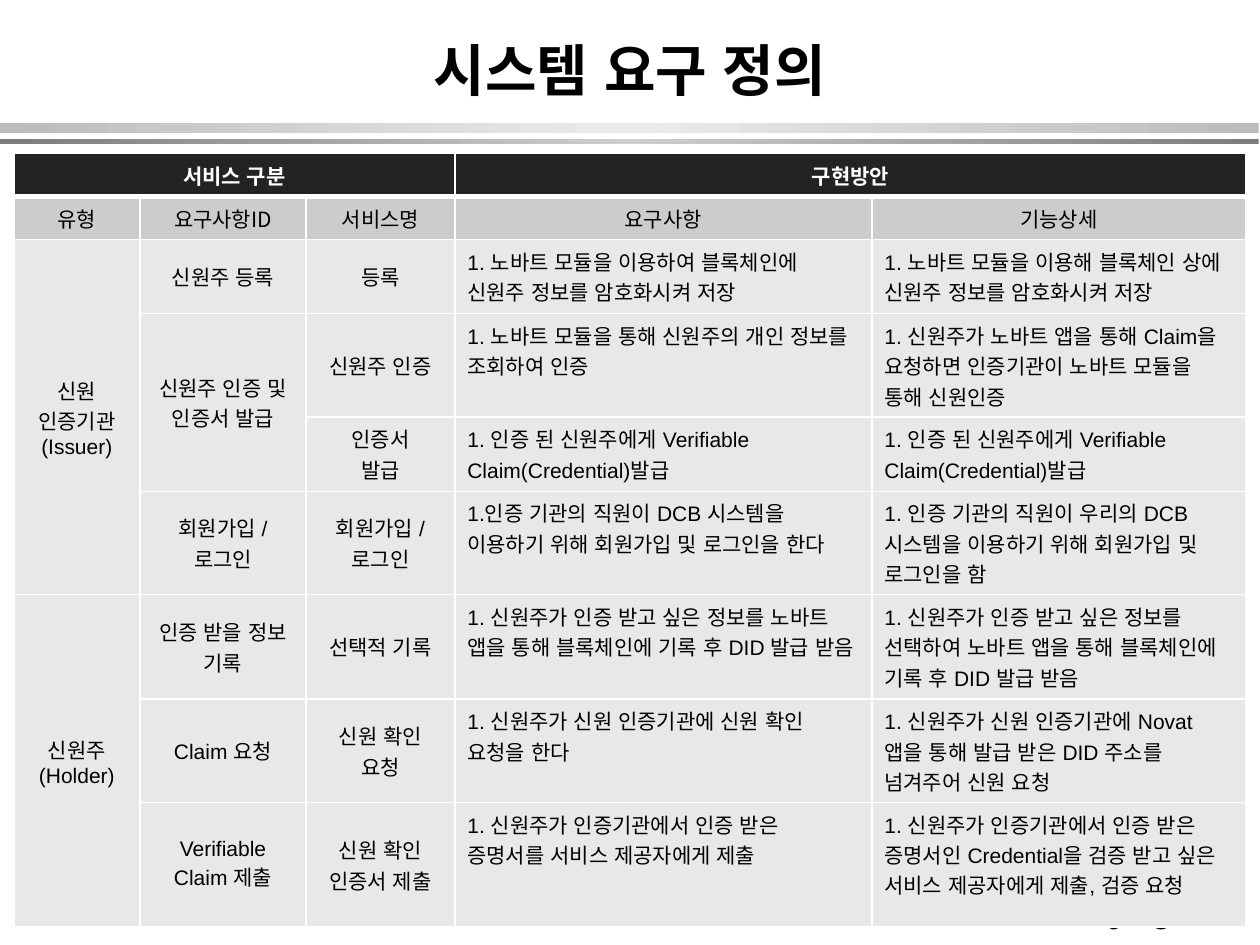
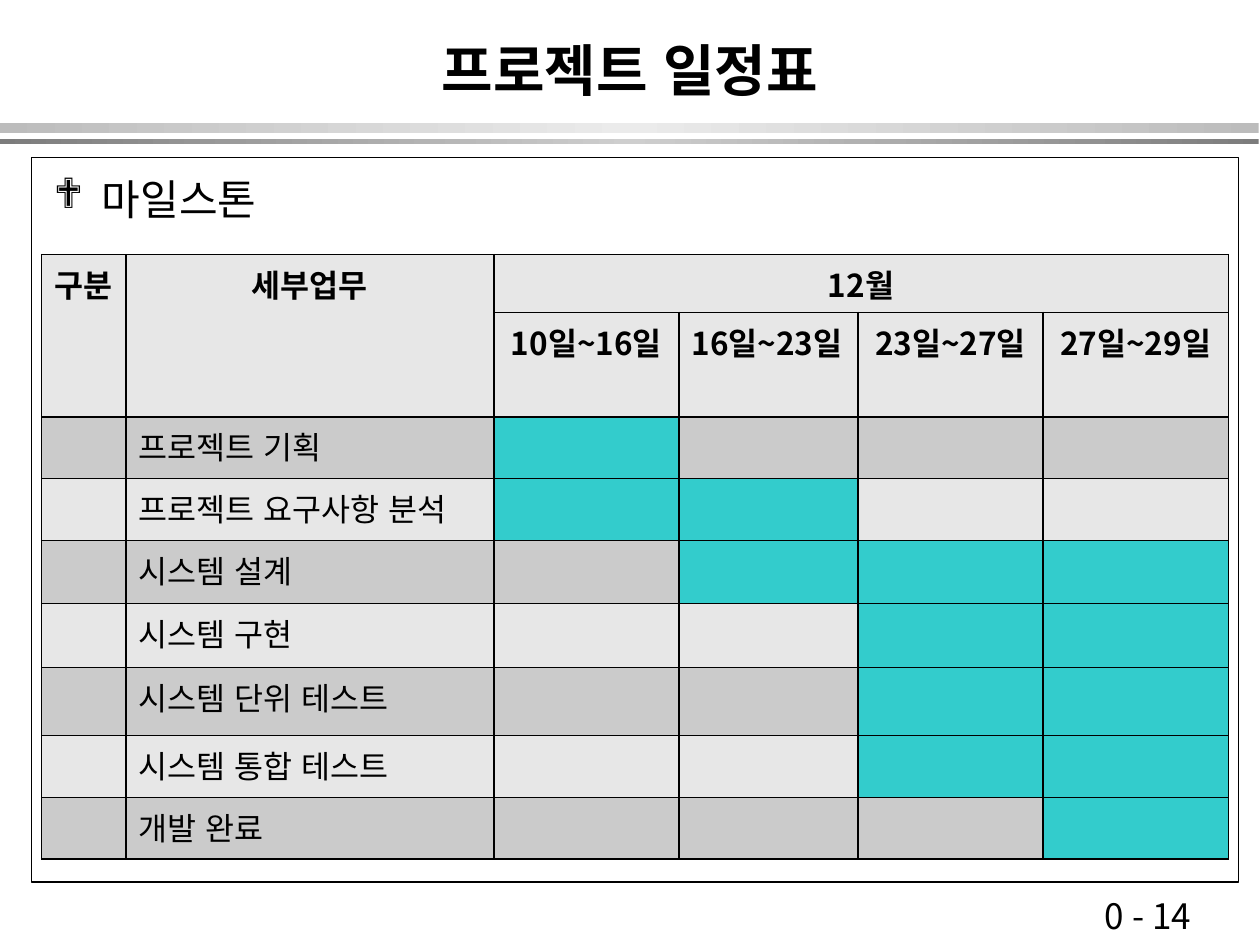
"""Build the system requirements and project schedule slides."""
import pptx
import pptx.dml.color
import pptx.enum.lang
import pptx.enum.shapes
import pptx.enum.text
import pptx.oxml
import pptx.oxml.ns
import pptx.util
from lxml import etree

Inches = pptx.util.Inches
Pt = pptx.util.Pt
ALIGN = pptx.enum.text.PP_ALIGN
ANCHOR = pptx.enum.text.MSO_ANCHOR
qn = pptx.oxml.ns.qn

KOREAN = "Noto Sans CJK KR"
LATIN = "Arial"
COLORS = {
    "black": "000000", "white": "FFFFFF",
    "header": "232323", "subheader": "CCCCCC", "body": "E8E8E8",
    "light": "E7E7E7", "dark": "CBCBCB", "active": "33CCCC",
    "band_edge": "BCBCBC", "band_mid": "EBEBEB",
    "rule_edge": "7C7C7C", "rule_mid": "CECECE",
}

REQUIREMENT_COLS = [1, 1.32, 1.18, 3.31, 2.97]
REQUIREMENT_HEIGHTS = [0.34, 0.34, 0.59, 0.82, 0.59, 0.82, 0.83, 0.82, 0.02, 0.97]
REQUIREMENTS = [
    ["서비스 구분", "", "", "구현방안", ""],
    ["유형", "요구사항ID", "서비스명", "요구사항", "기능상세"],
    ["신원\n인증기관\n(Issuer)", "신원주 등록", "등록",
     "1. 노바트 모듈을 이용하여 블록체인에 신원주 정보를 암호화시켜 저장",
     "1. 노바트 모듈을 이용해 블록체인 상에 신원주 정보를 암호화시켜 저장"],
    ["", "신원주 인증 및 인증서 발급", "신원주 인증",
     "1. 노바트 모듈을 통해 신원주의 개인 정보를 조회하여 인증",
     "1. 신원주가 노바트 앱을 통해 Claim을 요청하면 인증기관이 노바트 모듈을 통해 신원인증"],
    ["", "", "인증서\n발급",
     "1. 인증 된 신원주에게 Verifiable Claim(Credential)발급",
     "1. 인증 된 신원주에게 Verifiable Claim(Credential)발급"],
    ["", "회원가입 /\n로그인", "회원가입 / 로그인",
     "1.인증 기관의 직원이 DCB 시스템을 이용하기 위해 회원가입 및 로그인을 한다",
     "1. 인증 기관의 직원이 우리의 DCB 시스템을 이용하기 위해 회원가입 및 로그인을 함"],
    ["신원주\n(Holder)", "인증 받을 정보 기록", "선택적 기록",
     "1. 신원주가 인증 받고 싶은 정보를 노바트 앱을 통해 블록체인에 기록 후 DID 발급 받음",
     "1. 신원주가 인증 받고 싶은 정보를 선택하여 노바트 앱을 통해 블록체인에 기록 후 DID 발급 받음"],
    ["", "Claim 요청", "신원 확인 요청",
     "1. 신원주가 신원 인증기관에 신원 확인 요청을 한다",
     "1. 신원주가 신원 인증기관에 Novat 앱을 통해 발급 받은 DID 주소를 넘겨주어 신원 요청"],
    ["", "Verifiable Claim 제출", "신원 확인 인증서 제출",
     "1. 신원주가 인증기관에서 인증 받은 증명서를 서비스 제공자에게 제출",
     "1. 신원주가 인증기관에서 인증 받은 증명서인 Credential을 검증 받고 싶은 "
     "서비스 제공자에게 제출, 검증 요청"],
    [""] * 5,
]
REQUIREMENT_MERGES = [(0, 0, 0, 2), (0, 3, 0, 4), (2, 0, 5, 0), (3, 1, 4, 1),
                      (6, 0, 9, 0)] + [(8, c, 9, c) for c in range(1, 5)]

SCHEDULE_COLS = [0.67, 2.92, 1.47, 1.42, 1.47, 1.47]
SCHEDULE_HEIGHTS = [0.46, 0.83, 0.49, 0.49, 0.5, 0.51, 0.54, 0.49, 0.49]
SCHEDULE_HEADER = [
    ["구분", "세부업무", "12월", "", "", ""],
    ["", "", "10일~16일", "16일~23일", "23일~27일", "27일~29일"],
]
SCHEDULE_MERGES = [(0, 0, 1, 0), (0, 1, 1, 1), (0, 2, 0, 5)]
TASKS = [
    ("프로젝트 기획", 1, 1),
    ("프로젝트 요구사항 분석", 1, 2),
    ("시스템 설계", 2, 4),
    ("시스템 구현", 3, 4),
    ("시스템 단위 테스트", 3, 4),
    ("시스템 통합 테스트", 3, 4),
    ("개발 완료", 4, 4),
]


def rgb(name):
    """Return the named colour."""
    return pptx.dml.color.RGBColor.from_string(COLORS[name])


def set_text(tf, text, size, color="black", bold=False, font=KOREAN, align=ALIGN.LEFT):
    """Fill a text frame and format all its runs alike, without kerning."""
    tf.text = text
    for p in tf.paragraphs:
        p.alignment = align
        for r in p.runs:
            r.font.size = Pt(size)
            r.font.bold = bold
            r.font.name = font
            r.font.color.rgb = rgb(color)
            r.font.language_id = pptx.enum.lang.MSO_LANGUAGE_ID.KOREAN
            rPr = r.font._element
            rPr.set("kern", "0")
            rPr.find(qn("a:latin")).addnext(etree.Element(qn("a:ea"), typeface=KOREAN))


def add_rect(s, left, top, width, height):
    """Add a rectangle without shadow."""
    sp = s.shapes.add_shape(pptx.enum.shapes.MSO_SHAPE.RECTANGLE,
                            Inches(left), Inches(top), Inches(width), Inches(height))
    sp.shadow.inherit = False
    return sp


def add_band(s, top, height, edge, mid):
    """Add a full-width band shaded from its edges to its middle."""
    sp = add_rect(s, 0, top, 9.99, height)
    sp.line.fill.background()
    sp.fill.gradient()
    sp.fill.gradient_angle = 0
    stops = sp._element.spPr.find(qn("a:gradFill")).find(qn("a:gsLst"))
    for stop in list(stops):
        stops.remove(stop)
    for pos, name in ((0, edge), (50000, mid), (100000, edge)):
        stop = etree.SubElement(stops, qn("a:gs"), pos=str(pos))
        etree.SubElement(stop, qn("a:srgbClr"), val=COLORS[name])


def add_text(s, left, top, width, height, text, size):
    """Add a wrapping text box."""
    tf = s.shapes.add_textbox(Inches(left), Inches(top),
                              Inches(width), Inches(height)).text_frame
    tf.word_wrap = True
    set_text(tf, text, size)
    return tf


def add_base_slide(prs, title, number):
    """Add a slide with the shared title, bands, frame and page number."""
    s = prs.slides.add_slide(prs.slide_layouts[5])
    add_band(s, 0.98, 0.08, "band_edge", "band_mid")
    add_band(s, 1.1, 0.04, "rule_edge", "rule_mid")
    frame = add_rect(s, 0.25, 1.25, 9.58, 5.75)
    frame.fill.background()
    frame.line.color.rgb = rgb("black")
    frame.line.width = Pt(1)
    add_text(s, 8.67, 7.05, 1.17, 0.45, f"0 - {number}", 20)
    sp = s.shapes.title
    sp.left, sp.top = Inches(0.75), Inches(0.17)
    sp.width, sp.height = Inches(8.5), Inches(0.75)
    sp.text_frame.vertical_anchor = ANCHOR.MIDDLE
    set_text(sp.text_frame, title, 32, bold=True, align=ALIGN.CENTER)
    return s


def add_grid(s, left, top, cols, heights, merges):
    """Add an unstyled table and merge its spans."""
    table = s.shapes.add_table(len(heights), len(cols), Inches(left), Inches(top),
                               Inches(sum(cols)), Inches(sum(heights))).table
    table.first_row = table.horz_banding = False
    for col, width in zip(table.columns, cols):
        col.width = Inches(width)
    for row, height in zip(table.rows, heights):
        row.height = Inches(height)
    for r1, c1, r2, c2 in merges:
        table.cell(r1, c1).merge(table.cell(r2, c2))
    return table


def paint_cell(cell, fill, border, top=1, bottom=1):
    """Give a cell its four borders and its fill."""
    tcPr = cell._tc.get_or_add_tcPr()
    for tag, width in (("lnL", 1), ("lnR", 1), ("lnT", top), ("lnB", bottom)):
        ln = etree.SubElement(tcPr, qn(f"a:{tag}"), w=str(Pt(width)))
        solid = etree.SubElement(ln, qn("a:solidFill"))
        etree.SubElement(solid, qn("a:srgbClr"), val=COLORS[border])
    cell.fill.solid()
    cell.fill.fore_color.rgb = rgb(fill)


def add_requirements(s, left, top):
    """Add the requirements table with its two header rows."""
    table = add_grid(s, left, top, REQUIREMENT_COLS, REQUIREMENT_HEIGHTS,
                     REQUIREMENT_MERGES)
    for i, row in enumerate(REQUIREMENTS):
        for j, text in enumerate(row):
            cell = table.cell(i, j)
            paint_cell(cell, ("header", "subheader")[i] if i < 2 else "body", "white",
                       top=3 if i == 1 else 1, bottom=3 if i == 0 else 1)
            if i >= 2 and j < 3:
                cell.vertical_anchor = ANCHOR.MIDDLE
            if text:
                set_text(cell.text_frame, text, 12, "white" if i == 0 else "black",
                         bold=i == 0, font=KOREAN if i < 2 else LATIN,
                         align=ALIGN.CENTER if i < 2 or j < 3 else ALIGN.LEFT)


def add_schedule(s, left, top):
    """Add the schedule table with the active weeks of each task."""
    table = add_grid(s, left, top, SCHEDULE_COLS, SCHEDULE_HEIGHTS, SCHEDULE_MERGES)
    for i, row in enumerate(SCHEDULE_HEADER):
        for j, text in enumerate(row):
            cell = table.cell(i, j)
            paint_cell(cell, "light", "black")
            if text:
                align = ALIGN.LEFT if (i, j) == (1, 3) else ALIGN.CENTER
                set_text(cell.text_frame, text, 18, bold=True, align=align)
    for i, (task, first, last) in enumerate(TASKS):
        for j in range(len(SCHEDULE_COLS)):
            active = first <= j - 1 <= last
            fill = "active" if active else ("dark", "light")[i % 2]
            paint_cell(table.cell(i + 2, j), fill, "black")
        set_text(table.cell(i + 2, 1).text_frame, task, 18)


def add_milestone_heading(s, left, top):
    """Add the bulleted heading above the schedule."""
    tf = add_text(s, left, top, 9.42, 0.6, "마일스톤", 24)
    pPr = tf.paragraphs[0]._p.get_or_add_pPr()
    pPr.set("marL", str(Inches(0.38)))
    pPr.set("indent", str(-Inches(0.38)))
    etree.SubElement(pPr, qn("a:buFont"), typeface="Wingdings", charset="2")
    etree.SubElement(pPr, qn("a:buChar"), char="❖")


def main():
    """Build and save the presentation."""
    prs = pptx.Presentation()
    prs.slide_width, prs.slide_height = Inches(10), Inches(7.5)
    add_requirements(add_base_slide(prs, "시스템 요구 정의", 3), 0.11, 1.22)
    s = add_base_slide(prs, "프로젝트 일정표", 14)
    add_milestone_heading(s, 0.33, 1.33)
    add_schedule(s, 0.33, 2.02)
    prs.save("out.pptx")


if __name__ == "__main__":
    main()
